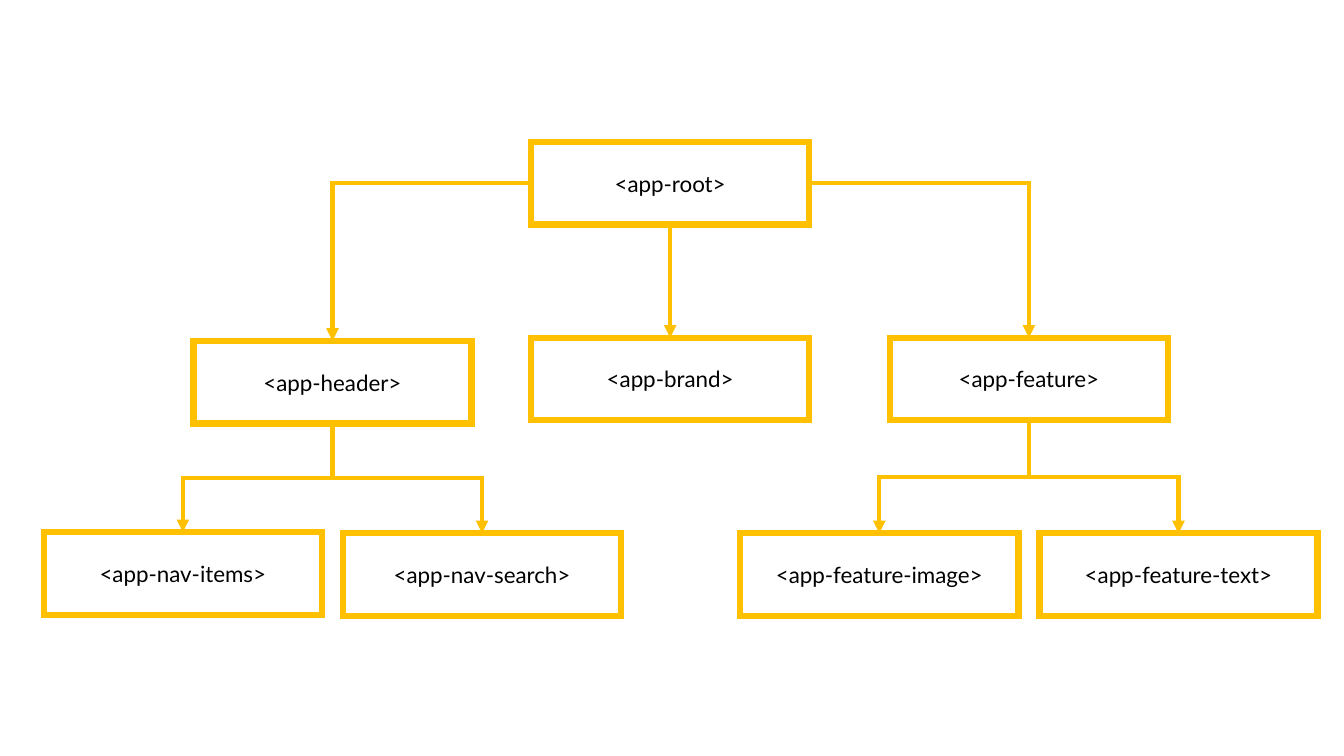
from dataclasses import dataclass

from lxml import etree
from pptx import Presentation
from pptx.dml.color import RGBColor
from pptx.enum import shapes, text
from pptx.oxml import ns
from pptx.util import Cm, Pt


@dataclass(frozen=True)
class Theme:
    accent: RGBColor = RGBColor(0xFF, 0xC0, 0x00)
    fill: RGBColor = RGBColor(0xFF, 0xFF, 0xFF)
    ink: RGBColor = RGBColor(0, 0, 0)
    font: str = "Lato"
    label_size: Pt = Pt(16)
    border: Pt = Pt(4.5)
    arrow: Pt = Pt(3)


THEME = Theme()
BOX_W, BOX_H = Cm(7.01), Cm(2.08)
LEAF_OFFSET = Cm(3.77)  # from a parent's centre to each leaf's centre
TOP, LEFT, BOTTOM, RIGHT = range(4)


def style_line(shape, width):
    """Apply the accent line with sharp corners and return its XML."""
    shape.line.color.rgb = THEME.accent
    shape.line.width = width
    line = shape.line._get_or_add_ln()
    etree.SubElement(line, ns.qn("a:miter"), lim="800000")
    return line


def add_component(slide, label, centre, top):
    component = slide.shapes.add_shape(
        shapes.MSO_SHAPE.FLOWCHART_PROCESS, centre - BOX_W // 2, top, BOX_W, BOX_H)
    component.shadow.inherit = False
    component.fill.solid()
    component.fill.fore_color.rgb = THEME.fill
    style_line(component, THEME.border)

    frame = component.text_frame
    frame.text = label
    frame.vertical_anchor = text.MSO_ANCHOR.MIDDLE
    paragraph = frame.paragraphs[0]
    paragraph.alignment = text.PP_ALIGN.CENTER
    font = paragraph.runs[0].font
    font.name, font.size = THEME.font, THEME.label_size
    font.color.rgb = THEME.ink
    return component


def add_arrow(slide, parent, side, child, kind=shapes.MSO_CONNECTOR.ELBOW):
    arrow = slide.shapes.add_connector(kind, 0, 0, 0, 0)
    arrow.begin_connect(parent, side)
    arrow.end_connect(child, TOP)
    line = style_line(arrow, THEME.arrow)
    etree.SubElement(line, ns.qn("a:tailEnd"), type="triangle")
    etree.SubElement(arrow._element.spPr, ns.qn("a:effectLst"))
    return arrow


def add_side_arrow(slide, parent, side, child):
    """One bend: out of the parent's side, then down."""
    arrow = add_arrow(slide, parent, side, child)
    geometry = arrow._element.spPr.find(ns.qn("a:prstGeom"))
    geometry.set("prst", "bentConnector2")


def add_drop_arrow(slide, parent, child):
    """Two bends: down, across and down, as a quarter-turned elbow."""
    arrow = add_arrow(slide, parent, BOTTOM, child)
    goes_right = child.left > parent.left
    across, down = arrow.width, arrow.height
    shift = (across - down) // 2
    arrow.left, arrow.top = arrow.left + shift, arrow.top - shift
    arrow.width, arrow.height = down, across
    arrow.rotation = 270 if goes_right else 90
    arrow._element.spPr.find(ns.qn("a:xfrm")).set("flipH", "1" if goes_right else "0")


def add_branch(slide, label, centre, top, leaves):
    """A component with a pair of leaves, each given as (label, top)."""
    parent = add_component(slide, label, centre, top)
    for direction, (leaf_label, leaf_top) in zip((-1, 1), leaves):
        leaf = add_component(
            slide, leaf_label, centre + direction * LEAF_OFFSET, leaf_top)
        add_drop_arrow(slide, parent, leaf)
    return parent


def add_component_tree(slide, centre, top):
    root = add_component(slide, "<app-root>", centre, top)
    brand = add_component(slide, "<app-brand>", centre, top + Cm(4.93))
    leaf_top = top + Cm(9.86)
    header = add_branch(
        slide, "<app-header>", centre - Cm(8.51), top + Cm(5.01),
        [("<app-nav-items>", leaf_top - Cm(0.03)), ("<app-nav-search>", leaf_top)])
    feature = add_branch(
        slide, "<app-feature>", centre + Cm(9.04), top + Cm(4.93),
        [("<app-feature-image>", leaf_top), ("<app-feature-text>", leaf_top)])

    # Arrows from the root
    add_side_arrow(slide, root, LEFT, header)
    add_arrow(slide, root, BOTTOM, brand, shapes.MSO_CONNECTOR.STRAIGHT)
    add_side_arrow(slide, root, RIGHT, feature)


def main():
    deck = Presentation()
    deck.slide_width, deck.slide_height = Cm(33.87), Cm(19.05)
    slide = deck.slides.add_slide(deck.slide_layouts[6])
    add_component_tree(slide, Cm(16.89), Cm(3.58))
    deck.save("out.pptx")


if __name__ == "__main__":
    main()
